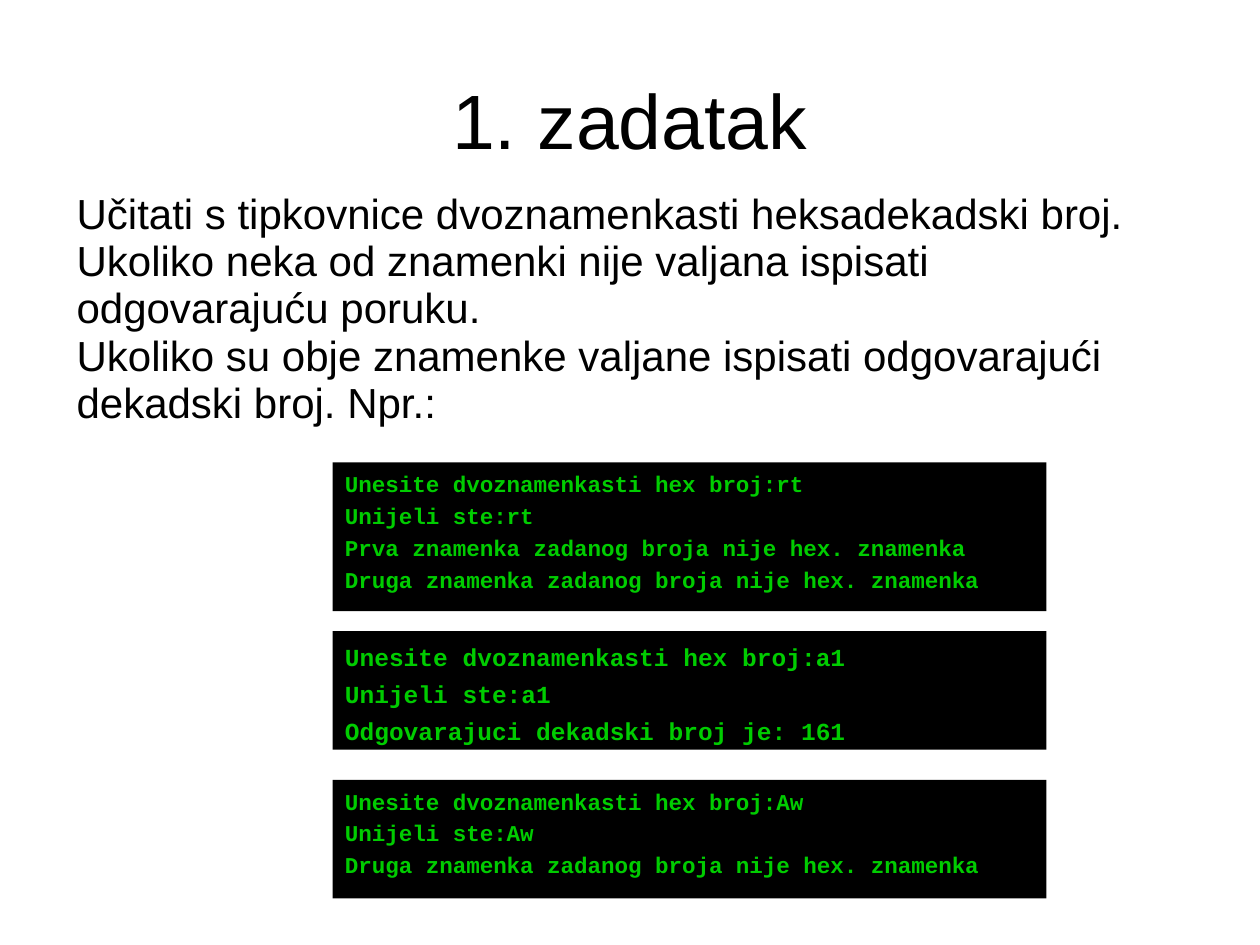
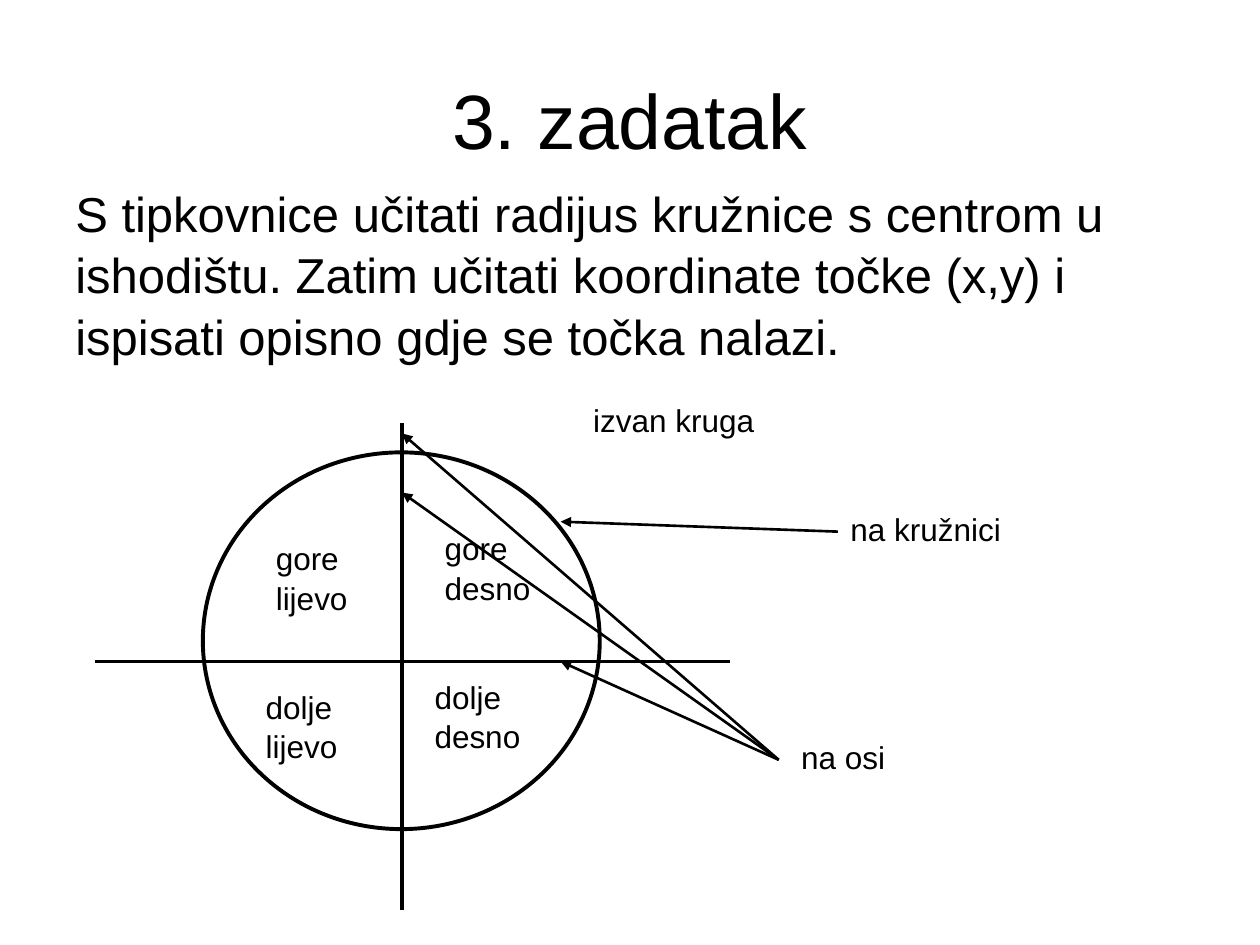
from dataclasses import dataclass

from pptx import Presentation
from pptx import util as u
from pptx.dml import color
from pptx.enum import shapes, text
from pptx.oxml import ns, xmlchemy


@dataclass(frozen=True)
class Theme:
    ink: color.RGBColor = color.RGBColor(0, 0, 0)
    console_ink: color.RGBColor = color.RGBColor(0, 0xCC, 0)
    sans: str = "Arial"
    mono: str = "Courier New"
    title_size: float = 44
    label_size: float = 18
    axis_width: float = 2.25
    arrow_width: float = 1.5


THEME = Theme()
CONSOLE_LEFT, CONSOLE_WIDTH = 190, 408
CONSOLE_INDENT = 27.4
LABEL_WIDTH = 73.4
AXIS_X, AXIS_Y = 229.7, 378


def apply_format(target, values):
    for name, value in values.items():
        setattr(target, name, value)


def points(*lengths):
    return [u.Pt(length) for length in lengths]


def write_text(shape, lines, font, ink=THEME.ink, frame_format=None, paragraph_format=None, gap=0):
    frame = shape.text_frame
    margins = {"margin_left": u.Pt(7.2), "margin_right": u.Pt(7.2),
               "margin_top": u.Pt(3.6), "margin_bottom": u.Pt(3.6)}
    apply_format(frame, {"word_wrap": True, "vertical_anchor": text.MSO_ANCHOR.TOP,
                         **margins, **(frame_format or {})})
    for index, line in enumerate(lines):
        paragraph = frame.add_paragraph() if index else frame.paragraphs[0]
        paragraph.text = line
        apply_format(paragraph, {"alignment": text.PP_ALIGN.LEFT, "line_spacing": 1.04,
                                 "space_before": u.Pt(gap if index else 0),
                                 **(paragraph_format or {})})
        for run in paragraph.runs:
            apply_format(run.font, font)
            run.font.color.rgb = ink


def add_text(slide, box, content, size, **formats):
    shape = slide.shapes.add_textbox(*points(*box))
    write_text(shape, [content], {"name": THEME.sans, "size": u.Pt(size)}, **formats)


def add_title(slide, content):
    add_text(slide, (36, 21.6, 648, 90), content, THEME.title_size,
             frame_format={"vertical_anchor": text.MSO_ANCHOR.MIDDLE},
             paragraph_format={"alignment": text.PP_ALIGN.CENTER})


def add_console(slide, top, height, lines, size, line_spacing):
    shape = slide.shapes.add_shape(shapes.MSO_SHAPE.RECTANGLE,
                                   *points(CONSOLE_LEFT, top, CONSOLE_WIDTH, height))
    shape.shadow.inherit = False
    shape.fill.solid()
    shape.fill.fore_color.rgb = THEME.ink
    shape.line.fill.background()
    write_text(shape, lines, {"name": THEME.mono, "size": u.Pt(size), "bold": True},
               ink=THEME.console_ink, gap=3.5, frame_format={"margin_top": u.Pt(5.5)},
               paragraph_format={"line_spacing": line_spacing})
    for paragraph in shape.text_frame.paragraphs:
        properties = paragraph._p.get_or_add_pPr()
        properties.set("marL", str(u.Pt(CONSOLE_INDENT)))
        properties.set("indent", str(-u.Pt(CONSOLE_INDENT)))


def add_line(slide, start, end, width, arrow=False):
    line = slide.shapes.add_connector(shapes.MSO_CONNECTOR.STRAIGHT, *points(*start, *end))
    line.line.color.rgb = THEME.ink
    line.line.width = u.Pt(width)
    if arrow:
        head = xmlchemy.OxmlElement("a:tailEnd")
        head.set("type", "triangle")
        line.line._get_or_add_ln().append(head)
    line._element.find(ns.qn("p:spPr")).append(xmlchemy.OxmlElement("a:effectLst"))


def add_circle(slide, box):
    circle = slide.shapes.add_shape(shapes.MSO_SHAPE.OVAL, *points(*box))
    circle.shadow.inherit = False
    circle.fill.background()
    circle.line.color.rgb = THEME.ink
    circle.line.width = u.Pt(THEME.axis_width)


def add_labels(slide, labels):
    for content, left, top, width, height in labels:
        add_text(slide, (left, top, width, height), content, THEME.label_size)


def build_hex_task(slide):
    add_title(slide, "1. zadatak")
    add_text(slide, (36.7, 105.8, 648, 149.8),
             "Učitati s tipkovnice dvoznamenkasti heksadekadski broj.\v"
             "Ukoliko neka od znamenki nije valjana ispisati odgovarajuću poruku.\v"
             "Ukoliko su obje znamenke valjane ispisati odgovarajući dekadski broj. Npr.:",
             24, paragraph_format={"line_spacing": 0.94})
    bad_first = "Prva znamenka zadanog broja nije hex. znamenka"
    bad_second = "Druga znamenka zadanog broja nije hex. znamenka"
    consoles = [
        (264.2, 85, "rt", [bad_first, bad_second], 12.9, 0.95),
        (360.7, 67.7, "a1", ["Odgovarajuci dekadski broj je: 161"], 14, 1.05),
        (445.7, 67.7, "Aw", [bad_second], 12.9, 0.95),
    ]
    for top, height, entry, answers, size, line_spacing in consoles:
        lines = [f"Unesite dvoznamenkasti hex broj:{entry}", f"Unijeli ste:{entry}", *answers]
        add_console(slide, top, height, lines, size, line_spacing)


def build_circle_task(slide):
    add_title(slide, "3. zadatak")
    add_text(slide, (36, 100.1, 648, 118.8),
             "S tipkovnice učitati radijus kružnice s centrom u ishodištu. Zatim učitati "
             "koordinate točke (x,y) i ispisati opisno gdje se točka nalazi.", 28)
    add_line(slide, (AXIS_X, 241.9), (AXIS_X, 519.8), THEME.axis_width)
    add_line(slide, (54, AXIS_Y), (416.9, AXIS_Y), THEME.axis_width)
    add_circle(slide, (115.9, 258.5, 226.8, 215.3))
    add_labels(slide, [
        ("gore\vdesno", 247, 298.1, LABEL_WIDTH, 50.4),
        ("gore\vlijevo", 150.5, 303.8, LABEL_WIDTH, 50.4),
        ("dolje\vlijevo", 144.7, 388.8, LABEL_WIDTH, 50.4),
        ("dolje\vdesno", 241.2, 383, LABEL_WIDTH, 50.4),
        ("izvan kruga", 331.9, 224.6, 175.7, 61.9),
        ("na osi", 450.7, 417.6, LABEL_WIDTH, 28.8),
        ("na kružnici", 478.8, 287.3, 136.1, 28.8),
    ])
    on_axes = (445, 434.2)
    arrows = [(on_axes, (320.4, AXIS_Y)), (on_axes, (AXIS_X, 281.5)),
              (on_axes, (AXIS_X, 247.7)), ((478.8, 303.8), (320.4, 298.1))]
    for start, end in arrows:
        add_line(slide, start, end, THEME.arrow_width, arrow=True)


def main():
    presentation = Presentation()
    apply_format(presentation, {"slide_width": u.Pt(720), "slide_height": u.Pt(540)})
    blank_layout = presentation.slide_layouts[6]
    for build in (build_hex_task, build_circle_task):
        build(presentation.slides.add_slide(blank_layout))
    presentation.save("out.pptx")


if __name__ == "__main__":
    main()
